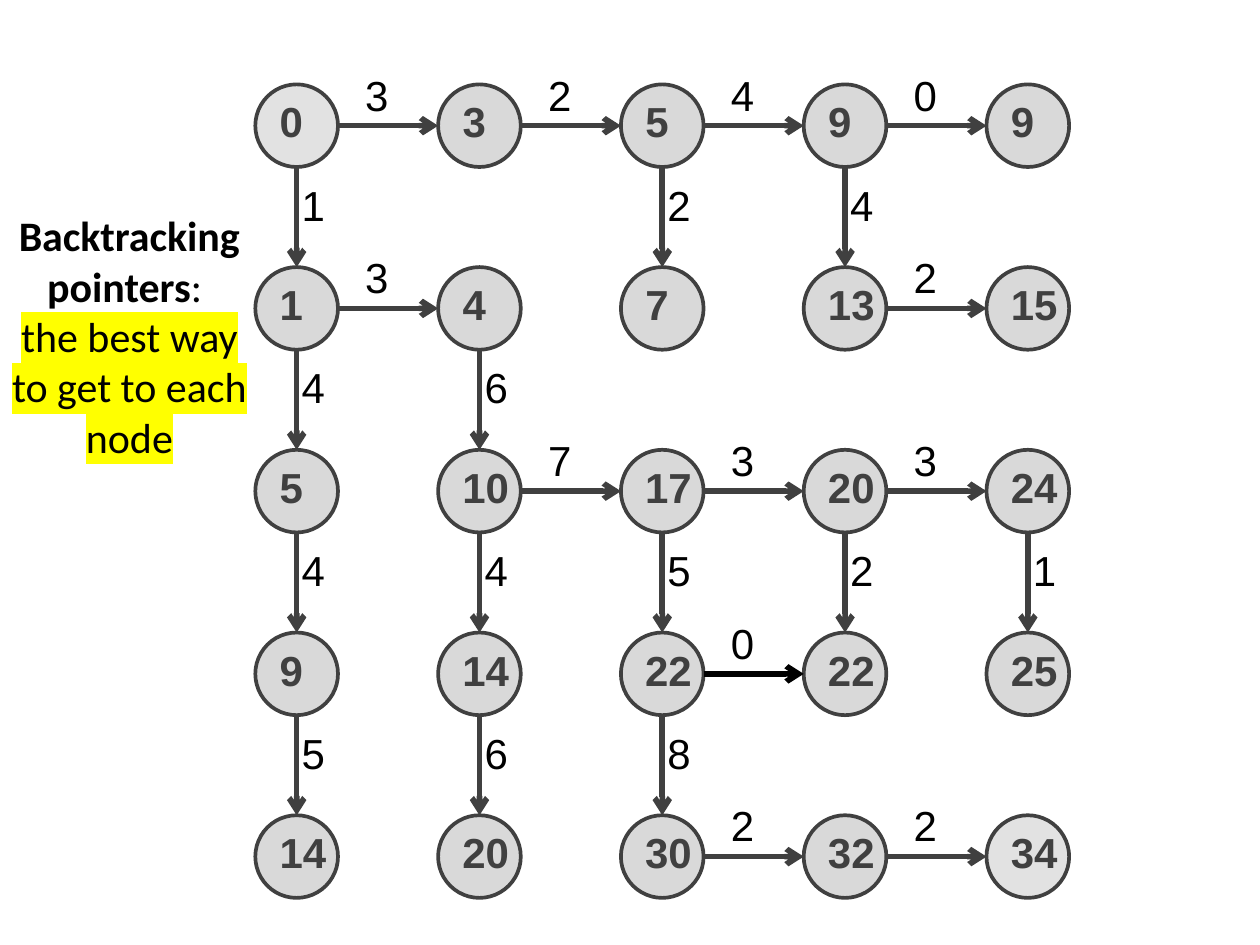
from lxml.etree import SubElement
from pptx import Presentation
from pptx.dml.color import RGBColor
from pptx.enum.shapes import MSO_CONNECTOR, MSO_SHAPE
from pptx.enum.text import MSO_ANCHOR, PP_ALIGN
from pptx.oxml.ns import qn
from pptx.util import Cm, Pt

GREY, DARK, BLACK, YELLOW = "D9D9D9", "404040", "000000", "FFFF00"
TEXT_SIZE = 34.1
PITCH, DIAMETER = 5.24, 2.37  # centimetres between node centres, and across a node
RADIUS = DIAMETER / 2

# Best total at each node, and edge weights ("." where there is no pointer)
TOTALS = [
    [0, 3, 5, 9, 9],
    [1, 4, 7, 13, 15],
    [5, 10, 17, 20, 24],
    [9, 14, 22, 22, 25],
    [14, 20, 30, 32, 34],
]
ACROSS = ["3240", "3..2", ".733", "..0.", "..22"]
DOWN = ["1.24.", "46...", "44521", "568.."]
FADED_NODES = {(0, 0), (4, 4)}
BLACK_EDGE = (3, 2)


def color(hex_string):
    return RGBColor.from_string(hex_string)


def style_para(para, font_name, hex_string, bold=None):
    para.alignment = PP_ALIGN.CENTER
    para.font.name = font_name
    para.font.size = Pt(TEXT_SIZE)
    para.font.bold = bold
    para.font.color.rgb = color(hex_string)


def add_node(page, x, y, total, faded):
    """Draw a circle centred on x, y with its total inside."""
    node = page.shapes.add_shape(MSO_SHAPE.OVAL, Cm(x - RADIUS), Cm(y - RADIUS),
                                 Cm(DIAMETER), Cm(DIAMETER))
    node.shadow.inherit = False
    node.fill.solid()
    node.fill.fore_color.rgb = color(GREY)
    if faded:
        fill = node.fill._xPr.find(qn("a:solidFill"))
        SubElement(fill[0], qn("a:alpha"), val="75000")
    node.line.color.rgb = color(DARK)
    node.line.width = Pt(3)

    # Single digits sit a little left of centre, pairs a little right
    frame = node.text_frame
    frame.word_wrap = False
    frame.vertical_anchor = MSO_ANCHOR.MIDDLE
    frame.margin_top, frame.margin_bottom = 0, Cm(0.26)
    frame.margin_left = Cm(0.36 if total > 9 else 0)
    frame.margin_right = Cm(0 if total > 9 else 0.3)
    para = frame.paragraphs[0]
    para.text = str(total)
    style_para(para, "Arial", DARK, bold=True)


def add_arrow(page, start, end, hex_string):
    arrow = page.shapes.add_connector(MSO_CONNECTOR.STRAIGHT,
                                      *(Cm(length) for length in start + end))
    arrow.line.color.rgb = color(hex_string)
    arrow.line.width = Pt(4.5)
    SubElement(arrow.line._get_or_add_ln(), qn("a:tailEnd"), type="arrow")
    SubElement(arrow._element.spPr, qn("a:effectLst"))


def add_weight(page, x, y, weight):
    """Write an edge weight centred on x, y."""
    width, height = 0.94, 1.73
    label = page.shapes.add_textbox(Cm(x - width / 2), Cm(y - height / 2),
                                    Cm(width), Cm(height))
    frame = label.text_frame
    frame.word_wrap = True
    frame.vertical_anchor = MSO_ANCHOR.MIDDLE
    frame.margin_left = frame.margin_right = 0
    frame.margin_top = frame.margin_bottom = 0
    para = frame.paragraphs[0]
    para.text = weight
    style_para(para, "Arial", BLACK)


def add_graph(page, left, top):
    def center(row, column):
        return left + RADIUS + column * PITCH, top + RADIUS + row * PITCH

    # Nodes
    for row, totals in enumerate(TOTALS):
        for column, total in enumerate(totals):
            add_node(page, *center(row, column), total, (row, column) in FADED_NODES)

    # Pointers to the right
    for row, weights in enumerate(ACROSS):
        for column, weight in enumerate(weights):
            if weight != ".":
                x, y = center(row, column)
                shade = BLACK if (row, column) == BLACK_EDGE else DARK
                add_arrow(page, (x + RADIUS, y), (x + PITCH - RADIUS, y), shade)
                add_weight(page, x + 2.3, y - 0.9, weight)

    # Pointers downwards
    for row, weights in enumerate(DOWN):
        for column, weight in enumerate(weights):
            if weight != ".":
                x, y = center(row, column)
                add_arrow(page, (x, y + RADIUS), (x, y + PITCH - RADIUS), DARK)
                add_weight(page, x + 0.48, y + 2.26, weight)


def add_caption(page, left, top, width, height):
    box = page.shapes.add_textbox(Cm(left), Cm(top), Cm(width), Cm(height))
    frame = box.text_frame
    frame.word_wrap = True

    # Heading
    heading = frame.paragraphs[0]
    style_para(heading, "Calibri", BLACK)
    span = heading.add_run()
    span.text = "Backtracking pointers"
    span.font.bold = True
    heading.add_run().text = ": "

    # Highlighted explanation
    para = frame.add_paragraph()
    style_para(para, "Calibri", BLACK)
    span = para.add_run()
    span.text = "the best way to get to each node"
    highlight = SubElement(span._r.get_or_add_rPr(), qn("a:highlight"))
    SubElement(highlight, qn("a:srgbClr"), val=YELLOW)


def main():
    deck = Presentation()
    deck.slide_width, deck.slide_height = Cm(36.12), Cm(27.1)
    page = deck.slides.add_slide(deck.slide_layouts[6])
    add_graph(page, 7.32, 2.42)
    add_caption(page, 0, 5.89, 7.42, 7.54)
    deck.save("out.pptx")


if __name__ == "__main__":
    main()
